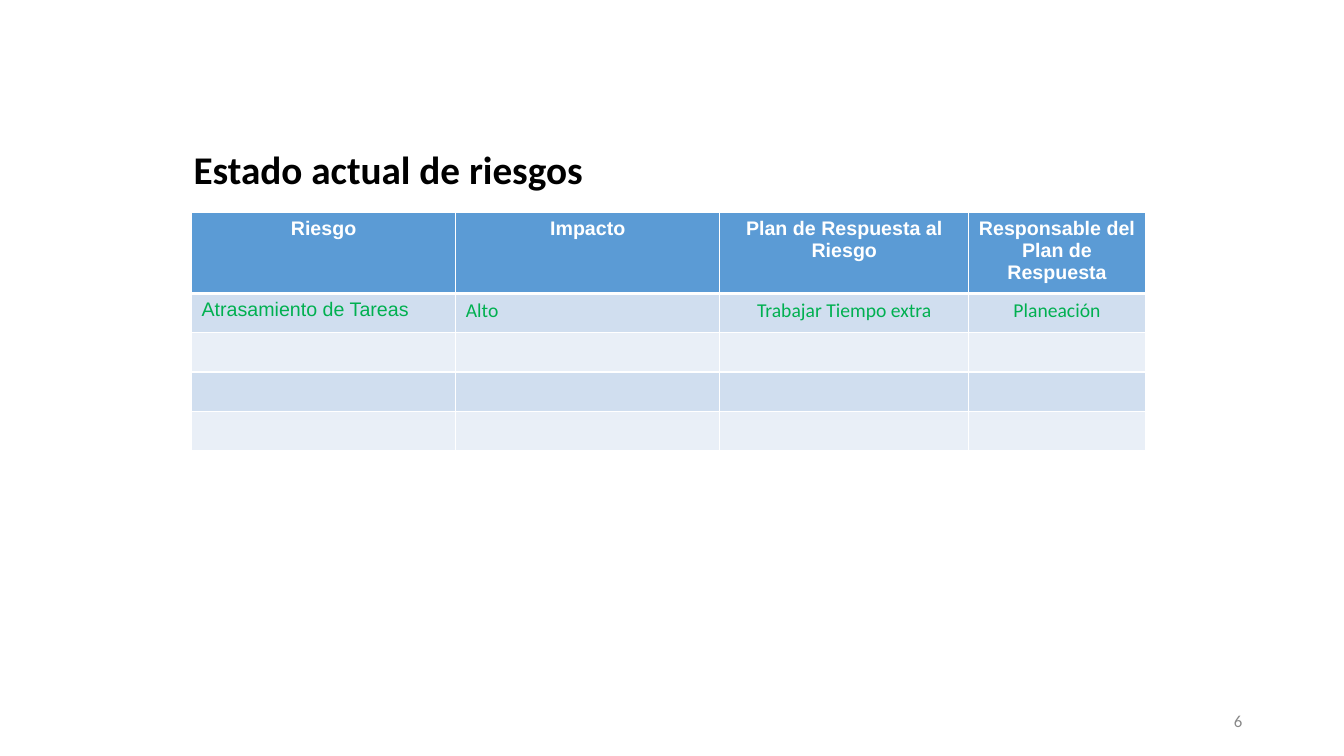
from lxml.etree import SubElement
from pptx import Presentation
from pptx.dml.color import RGBColor
from pptx.enum.text import MSO_ANCHOR, MSO_AUTO_SIZE, PP_ALIGN
from pptx.oxml.ns import qn
from pptx.util import Inches, Pt

LEFT, CENTER, RIGHT = PP_ALIGN.LEFT, PP_ALIGN.CENTER, PP_ALIGN.RIGHT
MIDDLE = MSO_ANCHOR.MIDDLE
NO_AUTOFIT = MSO_AUTO_SIZE.NONE

THEME = {
    "black": "000000", "white": "FFFFFF", "gray": "888888", "green": "00B050",
    "header": "5B9BD5", "bands": ["D0DEEF", "E9EFF7"],
    "body_font": "Calibri", "table_font": "Arial",
    "title_size": 28, "table_size": 14, "number_size": 12,
}
COLUMNS = [2.62, 2.62, 2.47, 1.75]
HEADER_HEIGHT, ROW_HEIGHT = 0.76, 0.39
HEADINGS = ["Riesgo", "Impacto", "Plan de Respuesta al Riesgo",
            "Responsable del Plan de Respuesta"]
RISK = ["Atrasamiento de Tareas", "Alto", "Trabajar Tiempo extra", "Planeación"]
ROWS = [HEADINGS, RISK] + [[""] * len(COLUMNS)] * 3


def write(frame, text, size, color, font, bold=False, align=LEFT):
    para = frame.paragraphs[0]
    para.text = text
    para.alignment = align
    for span in para.runs:
        span.font.size = Pt(size)
        span.font.name = font
        span.font.bold = bold
        span.font.color.rgb = RGBColor.from_string(color)


def add_border(cell, side, width):
    line = SubElement(cell._tc.get_or_add_tcPr(), qn(f"a:ln{side}"), w=str(Pt(width)))
    fill = SubElement(line, qn("a:solidFill"))
    SubElement(fill, qn("a:srgbClr"), val=THEME["white"])


deck = Presentation()
deck.slide_width, deck.slide_height = Inches(13.33), Inches(7.5)
page = deck.slides.add_slide(deck.slide_layouts[5])

title = page.shapes.title
title.left, title.top = Inches(1.82), Inches(1.48)
title.width, title.height = Inches(8.5), Inches(0.39)
title.text_frame.auto_size = NO_AUTOFIT
title.text_frame.vertical_anchor = MIDDLE
write(title.text_frame, "Estado actual de riesgos", THEME["title_size"],
      THEME["black"], THEME["body_font"], bold=True)

number = page.shapes.add_textbox(Inches(9.42), Inches(6.95), Inches(3), Inches(0.4))
number.text_frame.word_wrap = True
number.text_frame.vertical_anchor = MIDDLE
write(number.text_frame, "6", THEME["number_size"], THEME["gray"],
      THEME["body_font"], align=RIGHT)

table_height = HEADER_HEIGHT + ROW_HEIGHT * (len(ROWS) - 1)
table = page.shapes.add_table(len(ROWS), len(COLUMNS), Inches(1.9), Inches(2.11),
                              Inches(sum(COLUMNS)), Inches(table_height)).table
for column, width in zip(table.columns, COLUMNS):
    column.width = Inches(width)

for r, texts in enumerate(ROWS):
    is_header = r == 0
    table.rows[r].height = Inches(HEADER_HEIGHT if is_header else ROW_HEIGHT)
    band = THEME["header"] if is_header else THEME["bands"][(r - 1) % 2]
    for c, text in enumerate(texts):
        cell = table.cell(r, c)
        for side, width in [("L", 1), ("R", 1), ("T", 3 if r == 1 else 1),
                            ("B", 3 if is_header else 1)]:
            add_border(cell, side, width)
        cell.fill.solid()
        cell.fill.fore_color.rgb = RGBColor.from_string(band)
        write(cell.text_frame, text, THEME["table_size"],
              THEME["white"] if is_header else THEME["green"],
              THEME["table_font"] if is_header or c == 0 else THEME["body_font"],
              bold=is_header, align=CENTER if is_header or c > 1 else LEFT)
        if not text:
            SubElement(cell.text_frame.paragraphs[0]._p, qn("a:endParaRPr"),
                       sz=str(THEME["table_size"] * 100))

deck.save("out.pptx")
